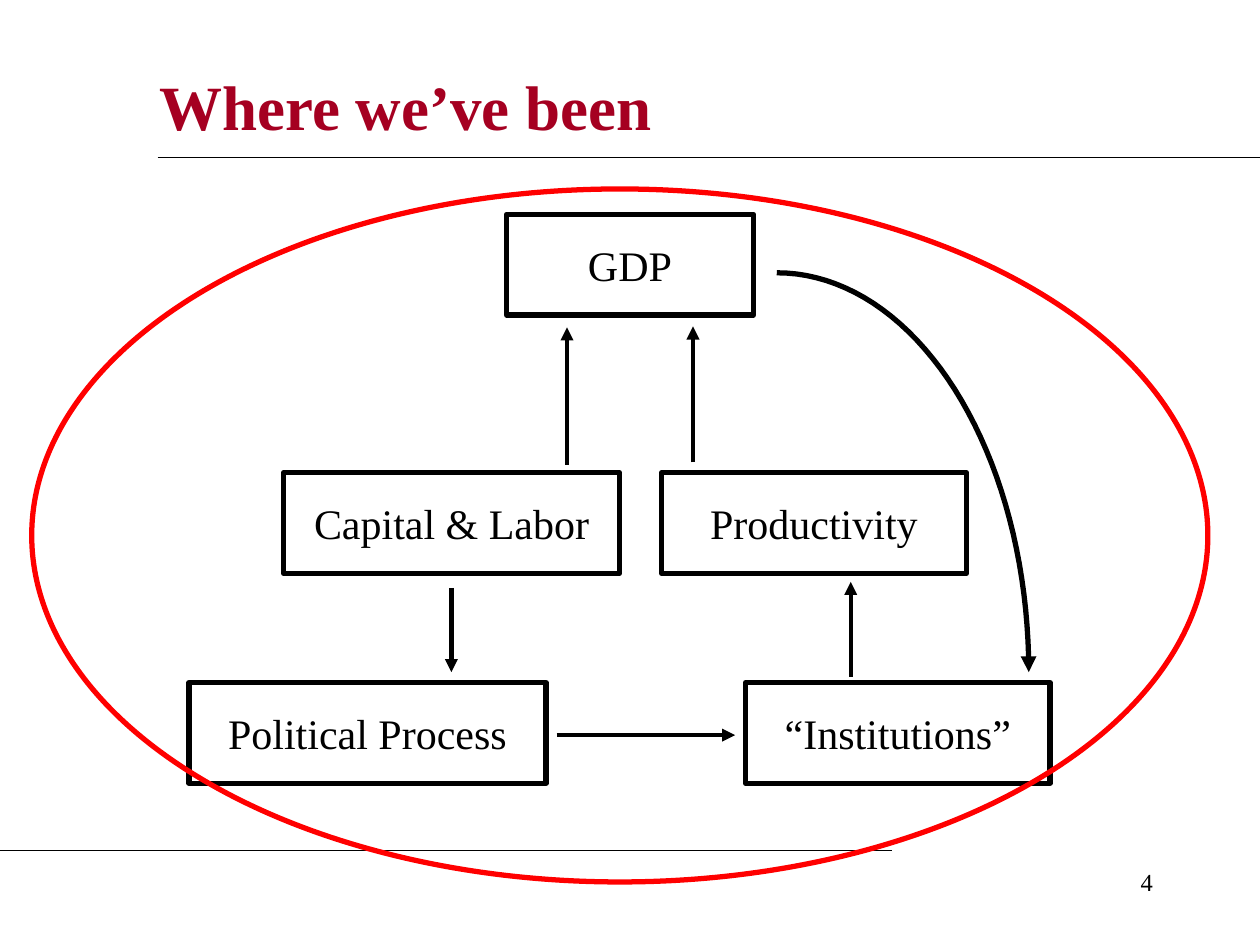
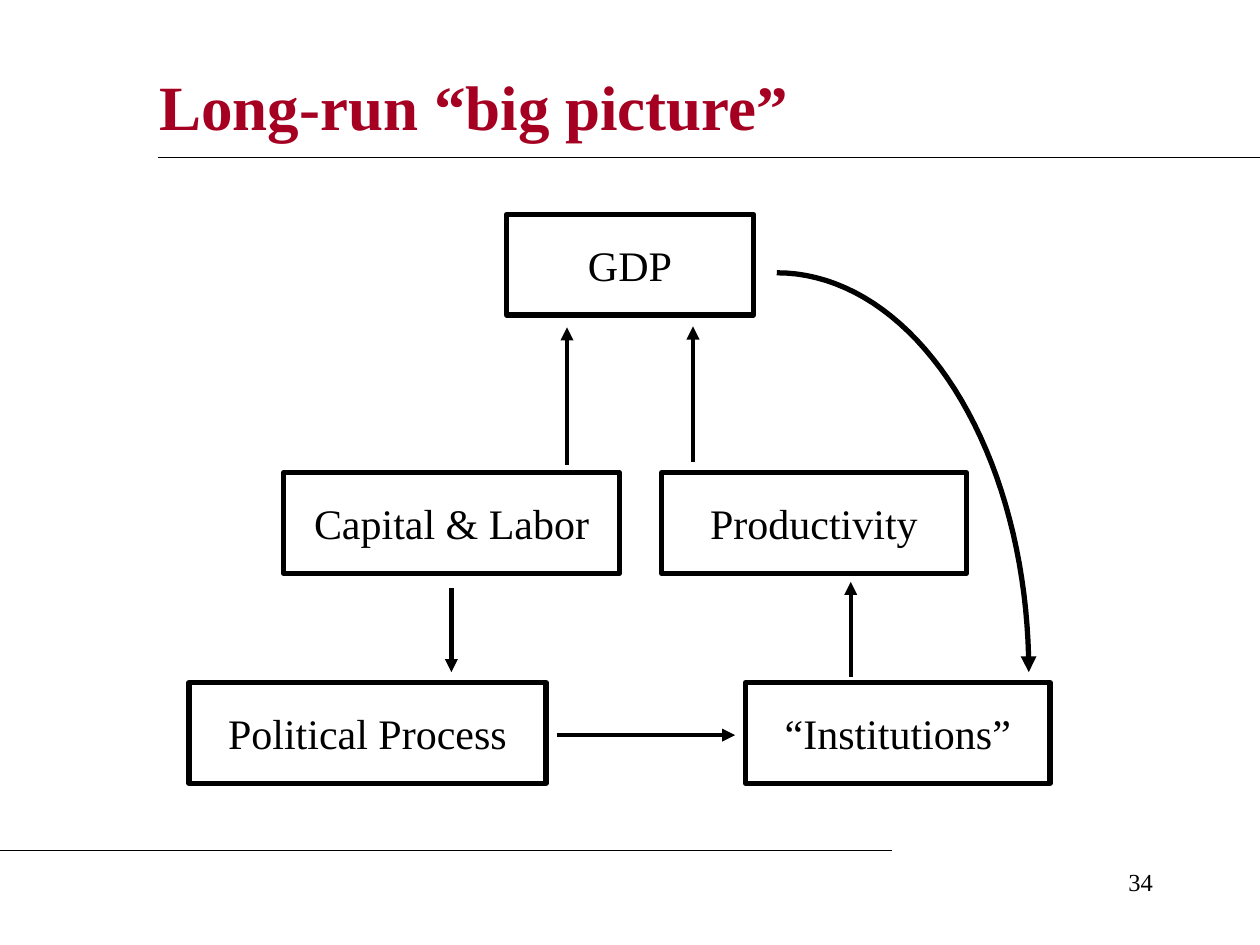
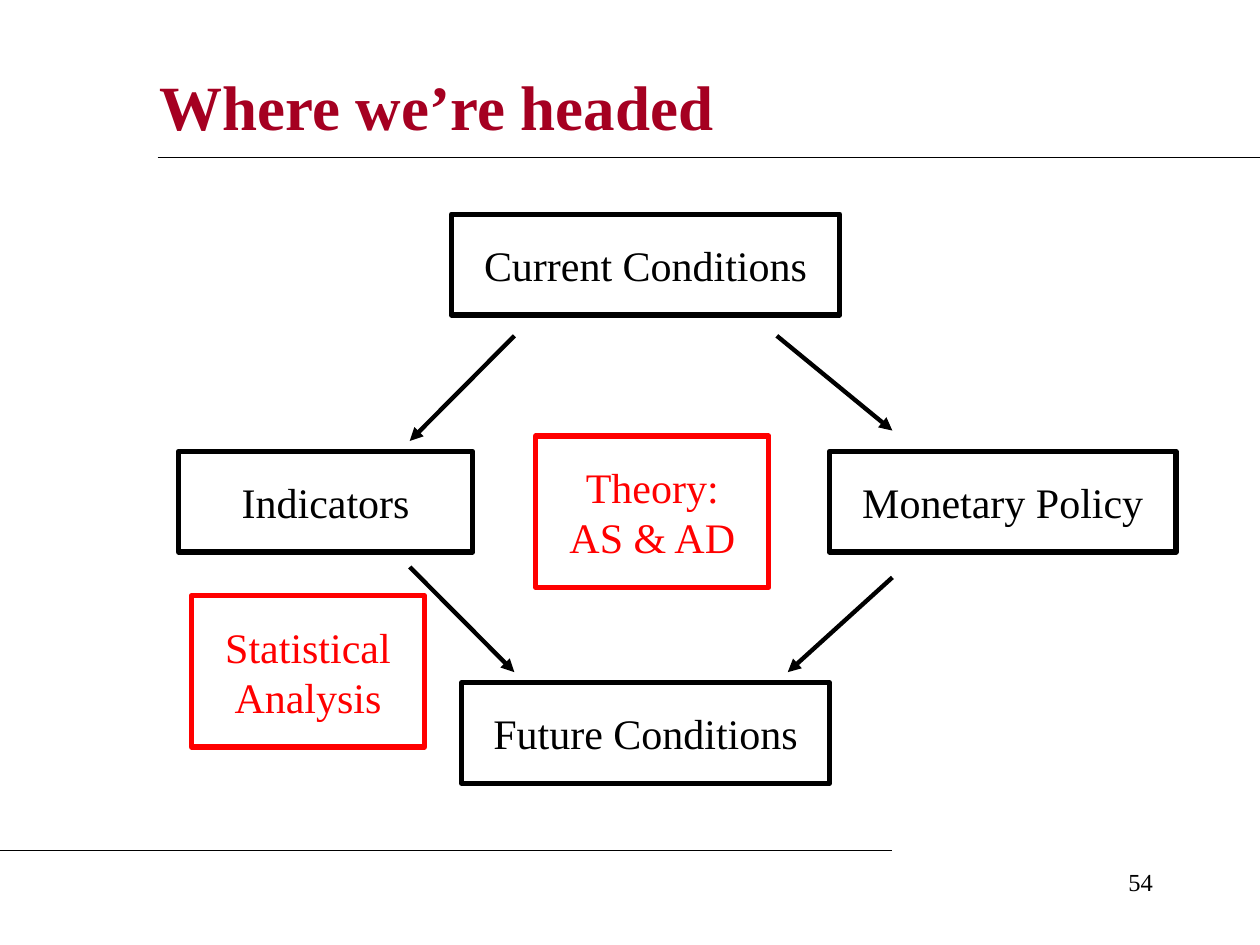
from math import cos, pi, sin

from lxml.etree import SubElement
from pptx import Presentation
from pptx.dml.color import RGBColor
from pptx.enum.shapes import MSO_CONNECTOR, MSO_SHAPE
from pptx.enum.text import MSO_ANCHOR as ANCHOR, MSO_AUTO_SIZE as FIT, PP_ALIGN as ALIGN
from pptx.oxml.ns import qn
from pptx.util import Cm, Pt

# Shared look
FONT = "Times New Roman"
BLACK = RGBColor(0x00, 0x00, 0x00)
RED = RGBColor(0xFF, 0x00, 0x00)
CRIMSON = RGBColor(0xA5, 0x00, 0x21)
BOX_HEIGHT = 2.03
TALL_BOX_HEIGHT = 3.05
BOX_INSET = Cm(0.51)
CURVE_STEPS = 40

# Diagrams in cm: boxes are (text, left, top, width), arrows (x1, y1, x2, y2)
GROWTH_BOXES = [
    ("Capital & Labor", 5.72, 9.53, 6.77),
    ("Productivity", 13.34, 9.53, 6.14),
    ("GDP", 10.21, 4.32, 4.98),
    ("“Institutions”", 15.03, 13.76, 6.14),
    ("Political Process", 3.81, 13.76, 7.2),
]
GROWTH_ARROWS = [
    (11.43, 9.37, 11.43, 6.6),
    (13.97, 9.32, 13.97, 6.58),
    (17.15, 13.64, 17.15, 11.73),
    (11.22, 14.82, 14.82, 14.82),
    (9.1, 11.85, 9.1, 13.55),
]
OUTLOOK_BOXES = [
    ("Indicators", 3.6, 9.1, 5.93),
    ("Monetary Policy", 16.72, 9.1, 6.99),
    ("Current Conditions", 9.1, 4.32, 7.83),
    ("Future Conditions", 9.31, 13.76, 7.41),
]
METHOD_BOXES = [
    ("Theory: AS & AD", 10.8, 8.79, 4.7),
    ("Statistical Analysis", 3.86, 12.01, 4.7),
]
OUTLOOK_ARROWS = [
    (10.37, 6.77, 8.26, 8.89),
    (15.66, 6.77, 17.99, 8.68),
    (17.99, 11.64, 15.88, 13.55),
    (8.26, 11.43, 10.37, 13.55),
]


def write(frame, text, size=24, color=BLACK, bold=False, align=ALIGN.CENTER, anchor=ANCHOR.TOP):
    frame.word_wrap = True
    frame.vertical_anchor = anchor
    paragraph = frame.paragraphs[0]
    paragraph.alignment = align
    run = paragraph.add_run()
    run.text = text
    run.font.name = FONT
    run.font.size = Pt(size)
    run.font.bold = bold
    run.font.color.rgb = color


def outline(shape, color=BLACK, width=3.0):
    shape.shadow.inherit = False
    shape.fill.background()
    shape.line.color.rgb = color
    shape.line.width = Pt(width)


def add_arrowhead(shape):
    line = shape.element.spPr.find(qn("a:ln"))
    SubElement(line, qn("a:tailEnd"), type="triangle")


def add_line(slide, x1, y1, x2, y2, width=0.75):
    line = slide.shapes.add_connector(MSO_CONNECTOR.STRAIGHT, Cm(x1), Cm(y1), Cm(x2), Cm(y2))
    line.line.color.rgb = BLACK
    line.line.width = Pt(width)
    SubElement(line.element.spPr, qn("a:effectLst"))
    return line


def add_arrow(slide, x1, y1, x2, y2):
    add_arrowhead(add_line(slide, x1, y1, x2, y2, width=2.5))


def add_box(slide, text, left, top, width, height=BOX_HEIGHT, color=BLACK):
    box = slide.shapes.add_shape(MSO_SHAPE.RECTANGLE, Cm(left), Cm(top), Cm(width), Cm(height))
    outline(box, color)
    frame = box.text_frame
    frame.margin_left = frame.margin_right = BOX_INSET
    frame.margin_top = frame.margin_bottom = BOX_INSET
    write(frame, text, color=color)
    frame.auto_size = FIT.SHAPE_TO_FIT_TEXT


def add_curved_arrow(slide, left, top, width, height):
    """Quarter ellipse from the top left to the bottom right corner."""
    angles = [pi / 2 * step / CURVE_STEPS for step in range(1, CURVE_STEPS + 1)]
    points = [(Cm(left + width * sin(a)), Cm(top + height * (1 - cos(a)))) for a in angles]
    builder = slide.shapes.build_freeform(Cm(left), Cm(top))
    builder.add_line_segments(points, close=False)
    curve = builder.convert_to_shape()
    outline(curve)
    add_arrowhead(curve)


def add_ring(slide, left, top, width, height):
    ring = slide.shapes.add_shape(MSO_SHAPE.OVAL, Cm(left), Cm(top), Cm(width), Cm(height))
    outline(ring, RED)


def add_slide(prs, heading, number):
    """Slide with title, page number and the two rules."""
    slide = prs.slides.add_slide(prs.slide_layouts.get_by_name("Title Only"))
    title = slide.shapes.title
    title.left, title.top, title.width, title.height = Cm(2.96), Cm(1.06), Cm(20.53), Cm(2.12)
    write(title.text_frame, heading, size=36, color=CRIMSON, bold=True,
          align=ALIGN.LEFT, anchor=ANCHOR.MIDDLE)
    page = slide.shapes.add_textbox(Cm(18.2), Cm(17.36), Cm(5.29), Cm(1.27))
    write(page.text_frame, str(number), size=14, align=ALIGN.RIGHT)
    add_line(slide, 3.18, 3.18, 25.4, 3.18)
    add_line(slide, 0, 17.15, 17.99, 17.15)
    return slide


def add_diagram(slide, boxes, arrows):
    for box in boxes:
        add_box(slide, *box)
    for arrow in arrows:
        add_arrow(slide, *arrow)


def add_growth_diagram(slide):
    add_diagram(slide, GROWTH_BOXES, GROWTH_ARROWS)
    add_curved_arrow(slide, 15.66, 5.5, 5.08, 8.05)


def main():
    prs = Presentation()
    prs.slide_width, prs.slide_height = Cm(25.4), Cm(19.05)

    # Growth so far, ringed
    been = add_slide(prs, "Where we’ve been", 4)
    add_growth_diagram(been)
    add_ring(been, 0.64, 3.81, 23.71, 13.97)

    # Long run
    add_growth_diagram(add_slide(prs, "Long-run “big picture”", 34))

    # Outlook with the methods in red
    headed = add_slide(prs, "Where we’re headed", 54)
    add_diagram(headed, OUTLOOK_BOXES, OUTLOOK_ARROWS)
    for method in METHOD_BOXES:
        add_box(headed, *method, height=TALL_BOX_HEIGHT, color=RED)

    prs.save("out.pptx")


if __name__ == "__main__":
    main()
